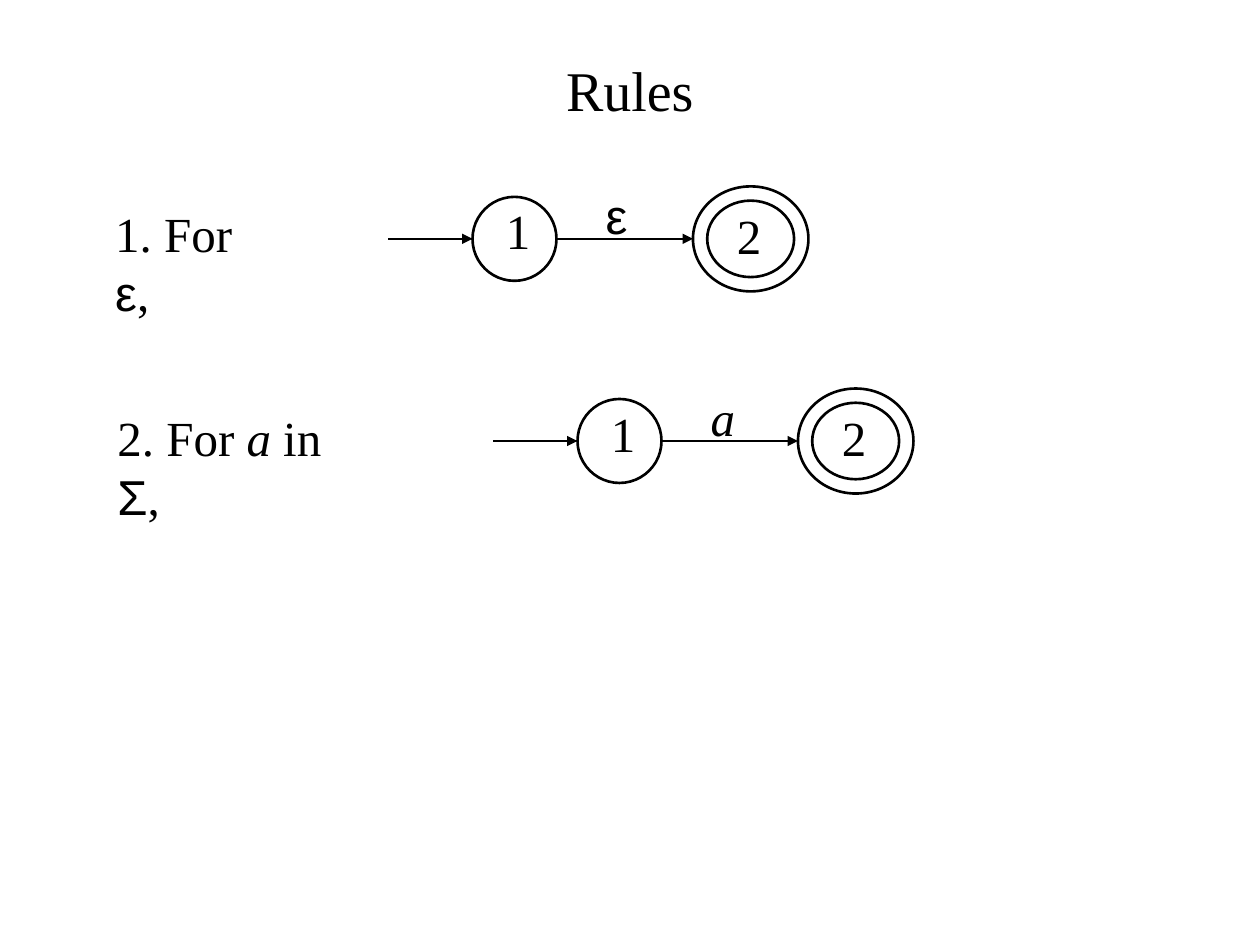
from dataclasses import dataclass
from lxml.etree import SubElement as Sub
from pptx import Presentation
from pptx.dml.color import RGBColor as RGB
from pptx.enum.shapes import MSO_CONNECTOR as Link, MSO_SHAPE as Kind
from pptx.enum.text import MSO_ANCHOR as Anchor, PP_ALIGN as Align
from pptx.oxml.ns import qn
from pptx.util import Inches, Pt


@dataclass(frozen=True)
class Theme:
    ink: RGB = RGB(0, 0, 0)
    serif: str = "Times New Roman"
    sans: str = "Arial"
    head: Pt = Pt(32)
    body: Pt = Pt(28)
    line: Pt = Pt(1.5)


LOOK = Theme()
COLS, ROWS = 120, 90
UNIT = Inches(1) / 12
SANS = {"name": LOOK.sans}
SLANT = {"italic": True}


def grid(*vals):
    return [round(val * UNIT) for val in vals]


def apply(item, vals):
    for key, val in vals.items():
        setattr(item, key, val)


def add_text(shapes, area, runs, size=LOOK.body, wrap=False,
             align=Align.LEFT, anchor=Anchor.TOP):
    frame = shapes.add_textbox(*grid(*area)).text_frame
    apply(frame, {"word_wrap": wrap, "vertical_anchor": anchor})
    para = frame.paragraphs[0]
    para.alignment = align
    for text, style in runs:
        run = para.add_run()
        run.text = text
        apply(run.font, {"name": LOOK.serif, "size": size, **style})
        run.font.color.rgb = LOOK.ink


def ink(line):
    line.color.rgb = LOOK.ink
    line.width = LOOK.line


def add_ring(shapes, kind, area):
    ring = shapes.add_shape(kind, *grid(*area))
    ring.shadow.inherit = False
    ring.fill.background()
    ink(ring.line)
    return ring


def add_arrow(shapes, left, right, mid):
    arrow = shapes.add_connector(Link.STRAIGHT, *grid(left, mid, right, mid))
    ink(arrow.line)
    props = arrow.element.spPr
    Sub(props.find(qn("a:ln")), qn("a:tailEnd"), type="triangle")
    Sub(props, qn("a:effectLst"))


def add_graph(slide, left, mid, label):
    shapes = slide.shapes.add_group_shape().shapes
    start, step, goal = left + 8, left + 16, left + 29
    final = add_ring(shapes, Kind.DONUT, (goal, mid - 5, 11, 10))
    final.adjustments[0] = 0.136
    add_ring(shapes, Kind.OVAL, (start, mid - 4, 8, 8))
    add_arrow(shapes, left, start, mid)
    add_arrow(shapes, step, goal, mid)
    marks = [(start + 2, 4.2, ("1", {})), (goal + 3, 3.75, ("2", {})),
             (step + 3.5, 5.7, label)]
    for col, rise, run in marks:
        add_text(shapes, (col, mid - rise, 4.7, 6.8), [run])


def main():
    deck = Presentation()
    deck.slide_width, deck.slide_height = grid(COLS, ROWS)
    slide = deck.slides.add_slide(deck.slide_layouts[6])
    add_text(slide.shapes, (9, 2, COLS - 18, 13), [("Rules", {})], LOOK.head,
             True, Align.CENTER, Anchor.MIDDLE)
    rules = [
        (37, 22.75, ("ε", SANS), (9.8, 18.8, 17, 6.8),
         [("1. For ", {}), ("ε", SANS), (",", {})]),
        (47, 42, ("a", SLANT), (10, 38.2, 26, 6.8),
         [("2. For ", {}), ("a", SLANT), (" in ", {}), ("Σ", SANS), (",", {})]),
    ]
    for left, mid, label, area, runs in rules:
        add_graph(slide, left, mid, label)
        add_text(slide.shapes, area, runs, wrap=True)
    deck.save("out.pptx")


if __name__ == "__main__":
    main()
